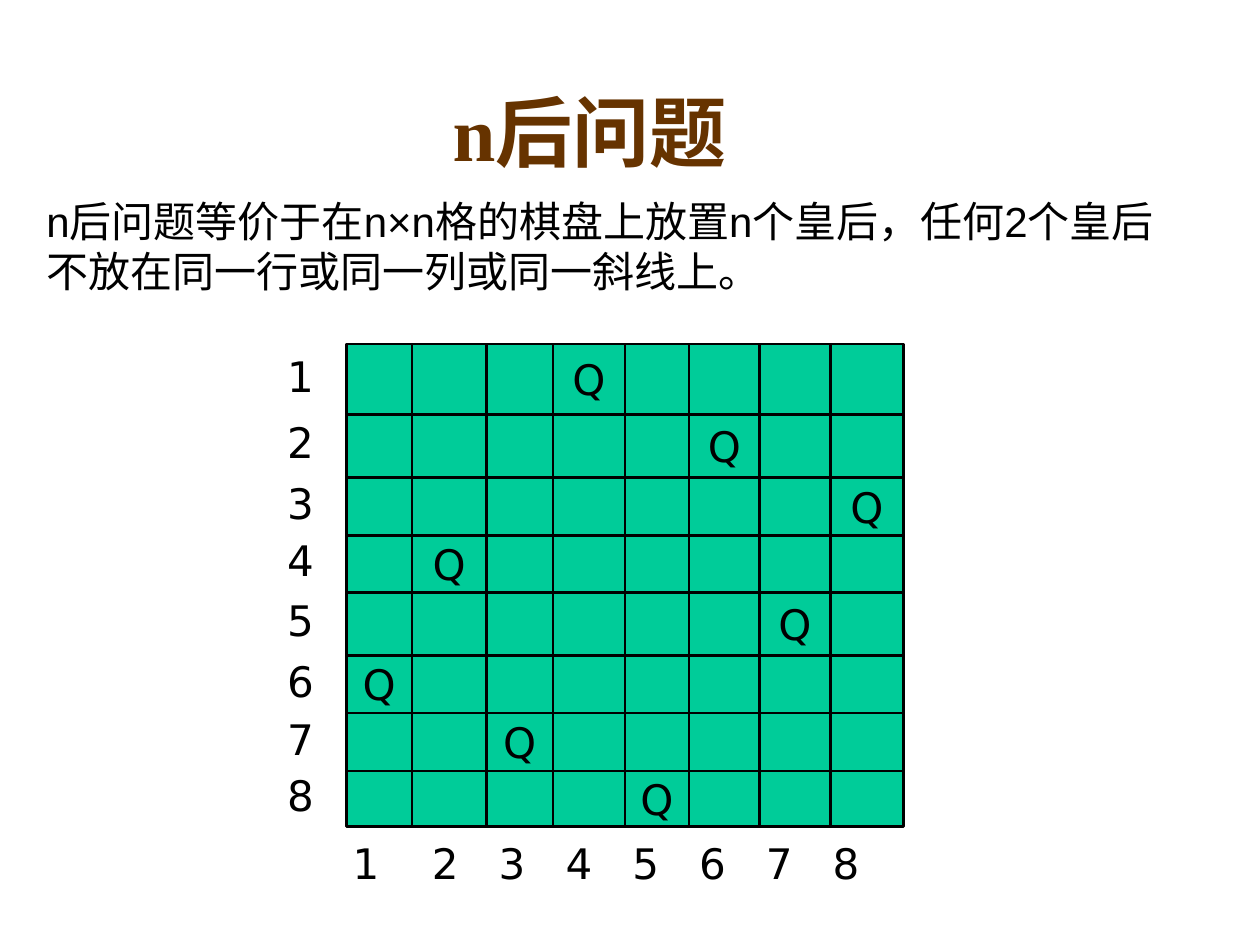
from itertools import pairwise

from lxml import etree
from pptx import Presentation
from pptx import util as u
from pptx.dml.color import RGBColor
from pptx.enum import shapes, text
from pptx.oxml.ns import qn

BROWN = RGBColor(0x66, 0x33, 0x00)
GREEN = RGBColor(0x00, 0xCC, 0x99)
BLACK = RGBColor(0x00, 0x00, 0x00)

COLUMN_EDGES = [0, 0.52, 1.11, 1.64, 2.21, 2.72, 3.28, 3.84, 4.42]
ROW_EDGES = [0, 0.56, 1.06, 1.52, 1.97, 2.47, 2.93, 3.39, 3.83]
QUEEN_COLUMNS = [4, 6, 8, 2, 7, 1, 3, 5]
LABEL_HEIGHT = 0.5


def place(shape, left, top, width, height):
    shape.left, shape.top = u.Inches(left), u.Inches(top)
    shape.width, shape.height = u.Inches(width), u.Inches(height)


def write(shape, content, *, size=24, font="DejaVu Sans", color=BLACK, bold=False,
          align=text.PP_ALIGN.LEFT, anchor=text.MSO_ANCHOR.TOP, wrap=False, tabs=()):
    frame = shape.text_frame
    frame.word_wrap = wrap
    frame.vertical_anchor = anchor
    paragraph = frame.paragraphs[0]
    paragraph.alignment = align
    if tabs:
        tab_list = etree.SubElement(paragraph._p.get_or_add_pPr(), qn("a:tabLst"))
        for position in tabs:
            etree.SubElement(tab_list, qn("a:tab"), pos=str(u.Inches(position)), algn="l")
    run = paragraph.add_run()
    run.text = content
    run.font.size = u.Pt(size)
    run.font.name = font
    run.font.bold = bold
    run.font.color.rgb = color


def add_text(parent, content, left, top, width, height, **text_format):
    box = parent.shapes.add_textbox(*map(u.Inches, (left, top, width, height)))
    write(box, content, **text_format)


def add_line(parent, x1, y1, x2, y2):
    line = parent.shapes.add_connector(
        shapes.MSO_CONNECTOR.STRAIGHT, *map(u.Inches, (x1, y1, x2, y2)))
    line.line.color.rgb = BLACK
    line.line.width = u.Pt(1.5)
    etree.SubElement(line._element.spPr, qn("a:effectLst"))
    return line


def add_title(slide, left, top, width, height):
    title = slide.shapes.title
    place(title, left, top, width, height)
    write(title, "n后问题", size=44, font="Times New Roman", color=BROWN, bold=True,
          align=text.PP_ALIGN.CENTER, anchor=text.MSO_ANCHOR.MIDDLE, wrap=True)


def add_board(group, left, top, width, height):
    board = group.shapes.add_shape(
        shapes.MSO_SHAPE.RECTANGLE, *map(u.Inches, (left, top, width, height)))
    board.shadow.inherit = False
    board.fill.solid()
    board.fill.fore_color.rgb = GREEN
    board.line.color.rgb = BLACK
    board.line.width = u.Pt(1.5)
    for y in ROW_EDGES[1:-1]:
        add_line(group, left, top + y, left + width, top + y)
    for x in COLUMN_EDGES[1:-1]:
        line = add_line(group, left + x, top, left + x, top + height)
        if x == width / 2:
            line.begin_connect(board, 0)
            line.end_connect(board, 2)


def add_queens(group, left, top):
    queen_width = 0.46
    columns = list(pairwise(COLUMN_EDGES))
    for column, row in zip(QUEEN_COLUMNS, pairwise(ROW_EDGES)):
        x = left + sum(columns[column - 1]) / 2 - queen_width / 2
        y = top + sum(row) / 2 - LABEL_HEIGHT / 2
        add_text(group, "Q", x, y, queen_width, LABEL_HEIGHT)


def add_labels(group, left, top, height):
    for number, row in enumerate(pairwise(ROW_EDGES), start=1):
        y = top + sum(row) / 2 - LABEL_HEIGHT / 2 - 0.03
        add_text(group, str(number), left - 0.57, y, 0.41, LABEL_HEIGHT)
    add_text(group, "\t".join("12345678"), left - 0.05, top + height + 0.04, 4.49,
             LABEL_HEIGHT, wrap=True, tabs=[0.63 + 0.53 * i for i in range(7)])


def add_chessboard(slide, left, top, width, height):
    group = slide.shapes.add_group_shape()
    add_board(group, left, top, width, height)
    add_labels(group, left, top, height)
    add_queens(group, left, top)


def main():
    presentation = Presentation()
    presentation.slide_width = u.Inches(10)
    presentation.slide_height = u.Inches(7.5)
    slide = presentation.slides.add_slide(presentation.slide_layouts[5])
    add_title(slide, 0.17, 0.76, 9.02, 0.55)
    add_text(slide, "n后问题等价于在n×n格的棋盘上放置n个皇后，任何2个皇后不放在同一行或同一列或同一斜线上。",
             0.27, 1.5, 9.29, 0.91, font="Arial", wrap=True)
    add_chessboard(slide, 2.75, 2.73, 4.42, 3.83)
    presentation.save("out.pptx")


if __name__ == "__main__":
    main()
